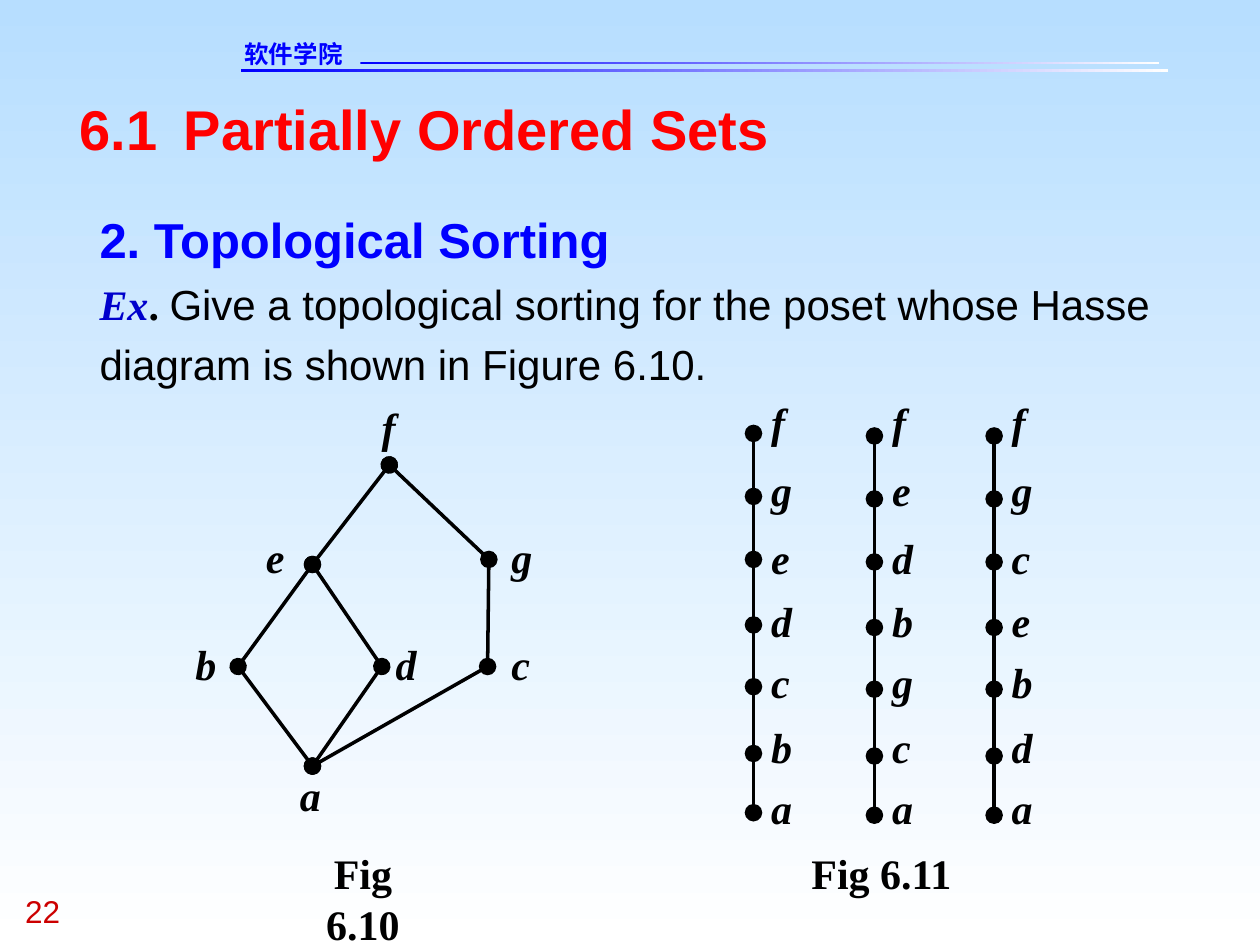
from itertools import pairwise

from lxml import etree
from pptx import Presentation
from pptx.dml.color import RGBColor
from pptx.enum.shapes import MSO_CONNECTOR, MSO_SHAPE
from pptx.enum.text import PP_ALIGN
from pptx.oxml.ns import qn
from pptx.util import Inches, Pt

STRAIGHT = MSO_CONNECTOR.STRAIGHT
RECTANGLE = MSO_SHAPE.RECTANGLE
LEFT = PP_ALIGN.LEFT
CENTER = PP_ALIGN.CENTER

SKY = RGBColor(0xB7, 0xDE, 0xFF)
WHITE = RGBColor(0xFF, 0xFF, 0xFF)
BLACK = RGBColor(0, 0, 0)
BLUE = RGBColor(0, 0, 0xFF)
DARK_BLUE = RGBColor(0, 0, 0xCC)
RED = RGBColor(0xFF, 0, 0)
DARK_RED = RGBColor(0xCC, 0, 0)

SANS = "Arial"
SERIF = "Times New Roman"
SCHOOL_FONT = "DejaVu Sans"

WIDTH, HEIGHT = Inches(10), Inches(7.5)
COLUMNS, ROWS = 100, 75

HASSE_NODES = {
    "f": ((30.9, 36.9), (30.3, 31.9)),
    "e": ((24.8, 44.8), (21.1, 42.2)),
    "g": ((38.8, 44.4), (40.6, 42.2)),
    "b": ((18.9, 52.9), (15.5, 50.7)),
    "d": ((30.3, 52.9), (31.4, 50.7)),
    "c": ((38.7, 52.9), (40.6, 50.7)),
    "a": ((24.8, 60.8), (23.8, 61.1)),
}
HASSE_EDGES = ("fe", "fg", "eb", "ed", "gc", "ba", "da", "ca")

CHAINS = (("fgedcba", 59.8, 0), ("fedbgca", 69.4, 0.2), ("fgcebda", 78.9, 0.2))
DOT_ROWS = (34.4, 39.4, 44.4, 49.6, 54.5, 59.8, 64.5)
LABEL_ROWS = (31.5, 36.9, 42.3, 47.3, 52.1, 57.3, 62.1)
LABEL_OFFSET = 1.4


def across(columns):
    return round(WIDTH * columns / COLUMNS)


def down(rows):
    return round(HEIGHT * rows / ROWS)


def fill_gradient(fill, start, end, angle):
    fill.gradient()
    fill.gradient_angle = angle
    for stop, color in zip(fill.gradient_stops, (start, end)):
        stop.color.rgb = color


def add_rule(slide, column, row, columns):
    rule = slide.shapes.add_shape(
        RECTANGLE, across(column), down(row), across(columns), down(0.2))
    rule.shadow.inherit = False
    rule.line.fill.background()
    fill_gradient(rule.fill, BLUE, WHITE, 0)


def add_frame(slide, column, row, columns, rows, wrap=True):
    frame = slide.shapes.add_textbox(
        across(column), down(row), across(columns), down(rows)).text_frame
    frame.margin_left = frame.margin_right = 0
    frame.margin_top = frame.margin_bottom = 0
    frame.word_wrap = wrap
    return frame


def add_run(paragraph, words, size, font, color, bold=False, italic=False):
    run = paragraph.add_run()
    run.text = words
    run.font.size = Pt(size)
    run.font.name = font
    run.font.color.rgb = color
    run.font.bold = bold
    run.font.italic = italic
    return run


def add_tab_stop(paragraph, columns):
    stops = etree.SubElement(paragraph._p.get_or_add_pPr(), qn("a:tabLst"))
    etree.SubElement(stops, qn("a:tab"), pos=str(across(columns)), algn="l")


def add_edge(slide, start, end, dots):
    edge = slide.shapes.add_connector(
        STRAIGHT, across(start[0]), down(start[1]), across(end[0]), down(end[1]))
    edge.line.color.rgb = BLACK
    edge.line.width = Pt(2)
    outline = edge.line._get_or_add_ln()
    for tip in dots:
        etree.SubElement(outline, qn(tip), type="oval", w="lg", len="lg")
    etree.SubElement(edge._element.spPr, qn("a:effectLst"))


def add_node_label(slide, letter, column, row):
    label = add_frame(slide, column, row, 1.7, 4, wrap=False).paragraphs[0]
    label.alignment = LEFT
    add_run(label, letter, 24, SERIF, BLACK, bold=True, italic=True)


def add_caption(slide, words, column, columns):
    caption = add_frame(slide, column, 67.3, columns, 8).paragraphs[0]
    caption.alignment = CENTER
    add_run(caption, words, 24, SERIF, BLACK, bold=True)


def add_header(slide):
    add_rule(slide, 19.1, 5.5, 73.6)
    add_rule(slide, 28.6, 4.9, 63.4)
    school = add_frame(slide, 19.4, 3.1, 14.5, 2.3).paragraphs[0]
    name = add_run(school, "软件学院", 14, SCHOOL_FONT, BLUE, bold=True)
    etree.SubElement(name.font._element, qn("a:ea"), typeface=SCHOOL_FONT)
    number = add_frame(slide, 2, 70.8, 7.5, 3).paragraphs[0]
    add_run(number, "22", 18, SANS, DARK_RED)


def add_exercise(slide):
    title = add_frame(slide, 6.3, 7.5, 87.5, 5.3).paragraphs[0]
    add_tab_stop(title, 8.3)
    add_run(title, "6.1\tPartially Ordered Sets", 32, SANS, RED, bold=True)

    body = add_frame(slide, 7.9, 15.7, 87.6, 15.2)
    topic, task = body.paragraphs[0], body.add_paragraph()
    topic.line_spacing = task.line_spacing = 1.2
    add_run(topic, "2. Topological Sorting", 28, SANS, BLUE, bold=True)
    add_run(task, "Ex", 24, SERIF, DARK_BLUE, bold=True, italic=True)
    add_run(task, ". ", 24, SERIF, BLACK, bold=True)
    add_run(task, "Give a topological sorting for the poset whose Hasse "
            "diagram is shown in Figure 6.10.", 24, SANS, BLACK)


def add_hasse_diagram(slide):
    for upper, lower in HASSE_EDGES:
        dots = ("a:headEnd", "a:tailEnd") if lower == "a" else ("a:headEnd",)
        add_edge(slide, HASSE_NODES[upper][0], HASSE_NODES[lower][0], dots)
    for letter, (_, place) in HASSE_NODES.items():
        add_node_label(slide, letter, *place)
    add_caption(slide, "Fig 6.10", 23.2, 11.2)


def add_chains(slide):
    for order, column, drop in CHAINS:
        for upper, lower in pairwise(DOT_ROWS):
            is_last = lower == DOT_ROWS[-1]
            dots = ("a:headEnd", "a:tailEnd") if is_last else ("a:tailEnd",)
            add_edge(slide, (column, lower + drop), (column, upper + drop), dots)
        for letter, row in zip(order, LABEL_ROWS):
            add_node_label(slide, letter, column + LABEL_OFFSET, row)
    add_caption(slide, "Fig 6.11", 64.2, 11.5)


def main():
    deck = Presentation()
    deck.slide_width, deck.slide_height = WIDTH, HEIGHT
    slide = deck.slides.add_slide(deck.slide_layouts[6])
    fill_gradient(slide.background.fill, SKY, WHITE, 270)
    add_header(slide)
    add_exercise(slide)
    add_hasse_diagram(slide)
    add_chains(slide)
    deck.save("out.pptx")


if __name__ == "__main__":
    main()
